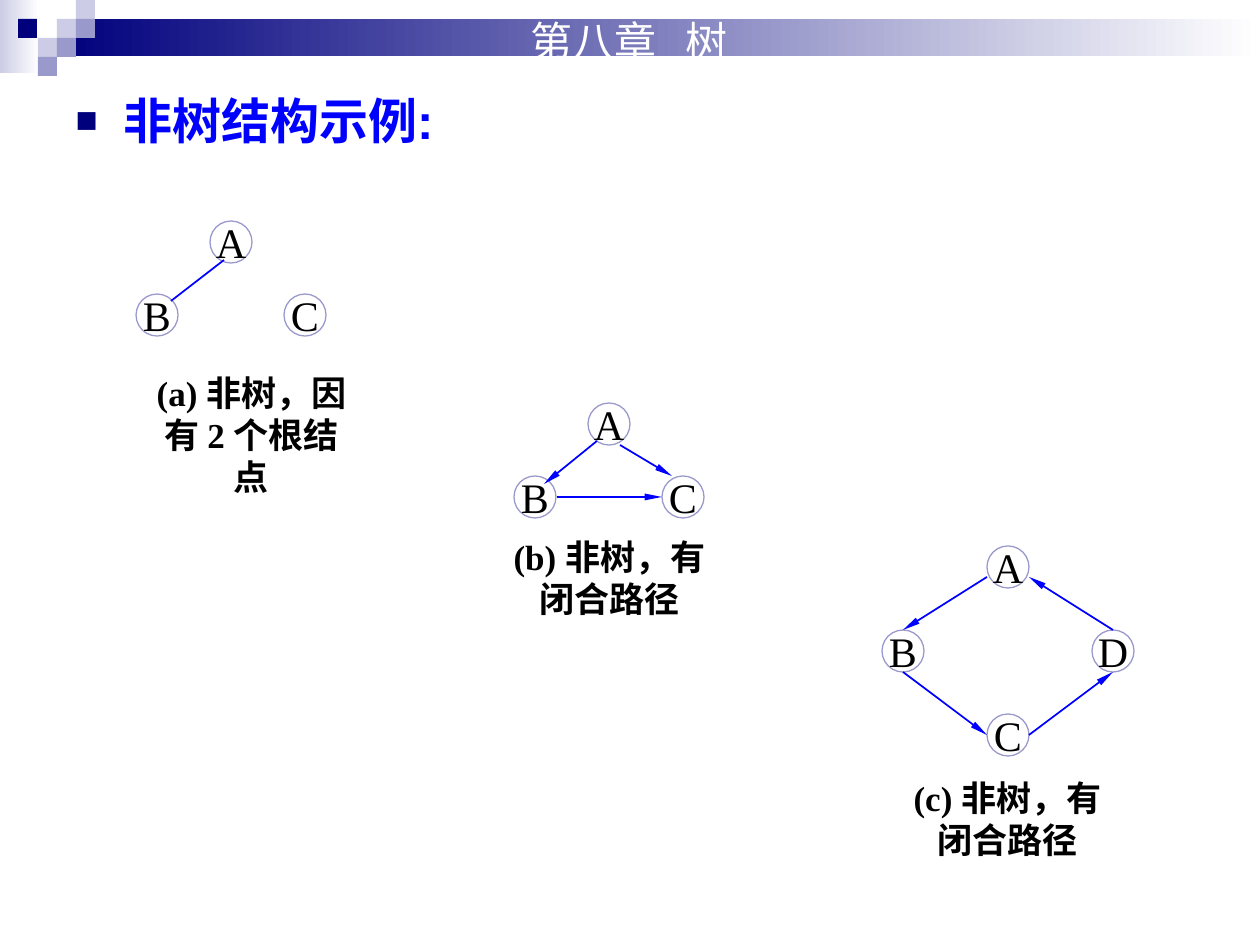
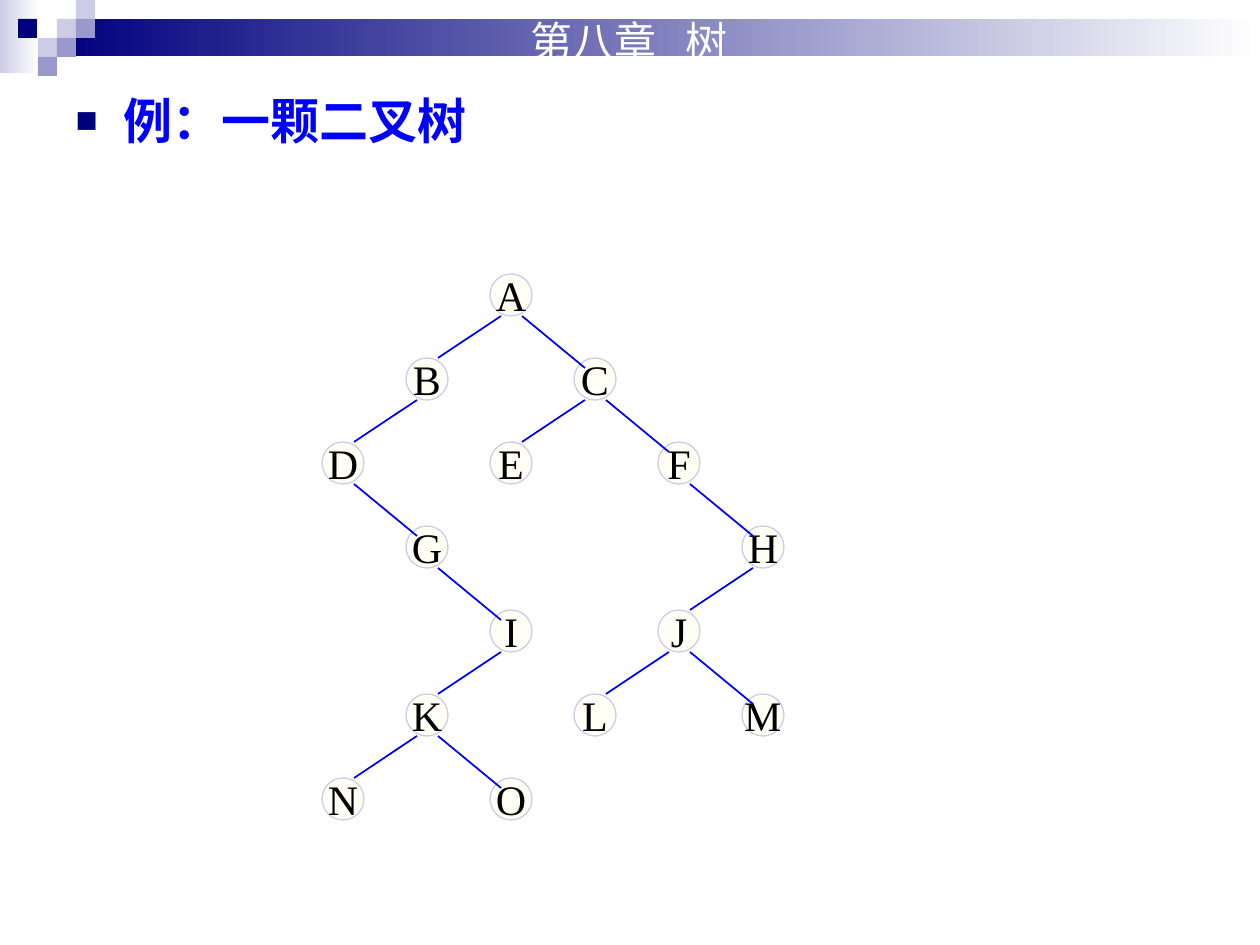
import pptx
import pptx.dml.color
import pptx.enum.dml
import pptx.enum.shapes
import pptx.enum.text
import pptx.oxml
import pptx.oxml.ns
import pptx.util
import lxml.etree

PX = 914400 // 126
NODE = 42
LATIN = "Times New Roman"
CJK = "Noto Sans CJK SC"
NAVY, LILAC, PALE = "00007D", "9999CC", "CCCCE6"
BLUE, BLACK, WHITE, IVORY = "0000FF", "000000", "FFFFFF", "FFFFF5"
SHAPE = pptx.enum.shapes.MSO_SHAPE
ALIGN = pptx.enum.text.PP_ALIGN
ANCHOR = pptx.enum.text.MSO_ANCHOR


def emu(*lengths):
    return [pptx.util.Emu(n * PX) for n in lengths]


def rgb(color):
    return pptx.dml.color.RGBColor.from_string(color)


def add_xml(parent, tag, **attributes):
    return lxml.etree.SubElement(parent, pptx.oxml.ns.qn(tag), attributes)


def write(tf, text, size=24, font=LATIN, color=BLACK, bold=False,
          align=ALIGN.LEFT, anchor=ANCHOR.TOP, wrap=True, east_asian=None):
    tf.word_wrap = wrap
    tf.auto_size = pptx.enum.text.MSO_AUTO_SIZE.NONE
    tf.vertical_anchor = anchor
    p = tf.paragraphs[0]
    p.alignment = align
    p.space_before = pptx.util.Pt(0)
    r = p.add_run()
    r.text = text
    r.font.size = pptx.util.Pt(size)
    r.font.name = font
    r.font.bold = bold
    r.font.color.rgb = rgb(color)
    if east_asian:
        add_xml(r.font._element, "a:ea", typeface=east_asian)
    return p


def place(sp, left, top, width, height):
    sp.left, sp.top, sp.width, sp.height = emu(left, top, width, height)


def add_block(shapes, box, color, fade_to=None):
    """Add a rectangle without outline, plain or fading to the right."""
    sp = shapes.add_shape(SHAPE.RECTANGLE, *emu(*box))
    sp.shadow.inherit = False
    sp.line.fill.background()
    if fade_to:
        sp.fill.gradient()
        sp.fill.gradient_angle = 0
        for stop, shade in zip(sp.fill.gradient_stops, (color, fade_to)):
            stop.color.rgb = rgb(shade)
    else:
        sp.fill.solid()
        sp.fill.fore_color.rgb = rgb(color)


def add_band(layout, slide):
    """Draw the header band as a group and hand it to the layout."""
    for ph in list(layout.placeholders):
        if ph.placeholder_format.idx >= 10:
            layout.shapes.element.remove(ph.element)
    band = slide.shapes.add_group_shape()
    add_block(band.shapes, (0, 0, 39, 73), PALE, fade_to=WHITE)
    add_block(band.shapes, (57, 19, 1203, 37), NAVY, fade_to=WHITE)
    squares = [(57, 19, PALE), (76, 0, PALE), (76, 19, LILAC), (38, 38, PALE),
               (18, 19, NAVY), (57, 38, LILAC), (38, 57, LILAC)]
    for left, top, color in squares:
        add_block(band.shapes, (left, top, 19, 19), color)
    layout.shapes.element.append(band.element)


def add_slide(prs, layout, heading):
    slide = prs.slides.add_slide(layout)
    title, body = slide.placeholders
    place(title, 518, 9, 305, 63)
    p = write(title.text_frame, "第八章\t树", font=CJK, color=WHITE, east_asian=CJK)
    tabs = add_xml(p._p.get_or_add_pPr(), "a:tabLst")
    add_xml(tabs, "a:tab", pos=str(155 * PX), algn="l")

    place(body, 63, 84, 1134, 882)
    p = write(body.text_frame, heading, size=28, font="Arial", color=BLUE, bold=True)
    pPr = p._p.get_or_add_pPr()
    pPr.set("marL", str(48 * PX))
    pPr.set("indent", str(-48 * PX))
    add_xml(add_xml(pPr, "a:buClr"), "a:srgbClr", val=NAVY)
    add_xml(pPr, "a:buSzPct", val="75000")
    add_xml(pPr, "a:buFont", typeface="Arial")
    add_xml(pPr, "a:buChar", char="■")
    return slide


def add_node(shapes, name, left, top, fill, line):
    sp = shapes.add_shape(SHAPE.OVAL, *emu(left, top, NODE, NODE))
    sp.shadow.inherit = False
    sp.fill.solid()
    sp.fill.fore_color.rgb = rgb(fill)
    sp.line.color.rgb = rgb(line)
    sp.line.width = pptx.util.Pt(0.75)
    write(sp.text_frame, name, align=ALIGN.CENTER, anchor=ANCHOR.MIDDLE, wrap=False)


def add_edge(shapes, x1, y1, x2, y2, arrow=False):
    line = shapes.add_connector(pptx.enum.shapes.MSO_CONNECTOR.STRAIGHT,
                                *emu(x1, y1, x2, y2))
    line.line.color.rgb = rgb(BLUE)
    line.line.width = pptx.util.Pt(1)
    if arrow:
        add_xml(line.line._get_or_add_ln(), "a:tailEnd",
                type="triangle", w="sm", len="lg")
    add_xml(line._element.spPr, "a:effectLst")


def add_graph(slide, origin, nodes, edges, arrow=True):
    """Draw a graph whose offsets count from the corner of its top node."""
    x, y = origin
    shapes = slide.shapes.add_group_shape().shapes
    for name, (dx, dy) in nodes.items():
        add_node(shapes, name, x + dx, y + dy, WHITE, LILAC)
    for x1, y1, x2, y2 in edges:
        add_edge(shapes, x + x1, y + y1, x + x2, y + y2, arrow)


def add_caption(slide, text, left, top, height=97):
    sp = slide.shapes.add_textbox(*emu(left, top, 231, height))
    write(sp.text_frame, text, size=20, bold=True, align=ALIGN.CENTER)


def add_binary_tree(slide, cells, edges):
    """Draw nodes on a grid of (column, row) cells, joined parent to child."""
    step = 2 * NODE
    corners = {name: (322 + step * col, 274 + step * row)
               for name, (col, row) in cells.items()}
    shapes = slide.shapes.add_group_shape().shapes
    for name, corner in corners.items():
        add_node(shapes, name, *corner, IVORY, PALE)
    for parent, child in edges:
        (px, py), (cx, cy) = corners[parent], corners[child]
        if cx < px:
            add_edge(shapes, px + 11, py + NODE, cx + 32, cy)
        else:
            add_edge(shapes, px + 32, py + NODE, cx + 11, cy + 10)


def main():
    prs = pptx.Presentation()
    prs.slide_width, prs.slide_height = emu(1260, 945)
    layout = prs.slide_layouts[1]

    slide = add_slide(prs, layout, "非树结构示例:")
    add_band(layout, slide)
    triangle = {"A": (0, 0), "C": (74, 73), "B": (-74, 73)}
    add_graph(slide, (210, 221), triangle, [(14, 39, -39, 80)], arrow=False)
    add_caption(slide, "(a) 非树，因有 2 个根结点", 136, 365, height=139)
    add_graph(slide, (588, 403), triangle,
              [(9, 38, -44, 81), (-31, 94, 74, 94), (32, 42, 84, 73)])
    add_caption(slide, "(b) 非树，有闭合路径", 494, 529)
    diamond = {"A": (0, 0), "D": (105, 84), "B": (-105, 84), "C": (0, 168)}
    add_graph(slide, (987, 546), diamond,
              [(0, 31, -84, 84), (-84, 126, 0, 189),
               (42, 189, 126, 126), (126, 84, 42, 31)])
    add_caption(slide, "(c) 非树，有闭合路径", 892, 770)

    slide = add_slide(prs, layout, "例：一颗二叉树")
    cells = {"A": (2, 0), "B": (1, 1), "C": (3, 1), "D": (0, 2), "E": (2, 2),
             "F": (4, 2), "G": (1, 3), "H": (5, 3), "I": (2, 4), "J": (4, 4),
             "K": (1, 5), "L": (3, 5), "M": (5, 5), "N": (0, 6), "O": (2, 6)}
    add_binary_tree(slide, cells,
                    "AB AC BD CE CF DG FH GI HJ IK JL JM KN KO".split())
    prs.save("out.pptx")


if __name__ == "__main__":
    main()
